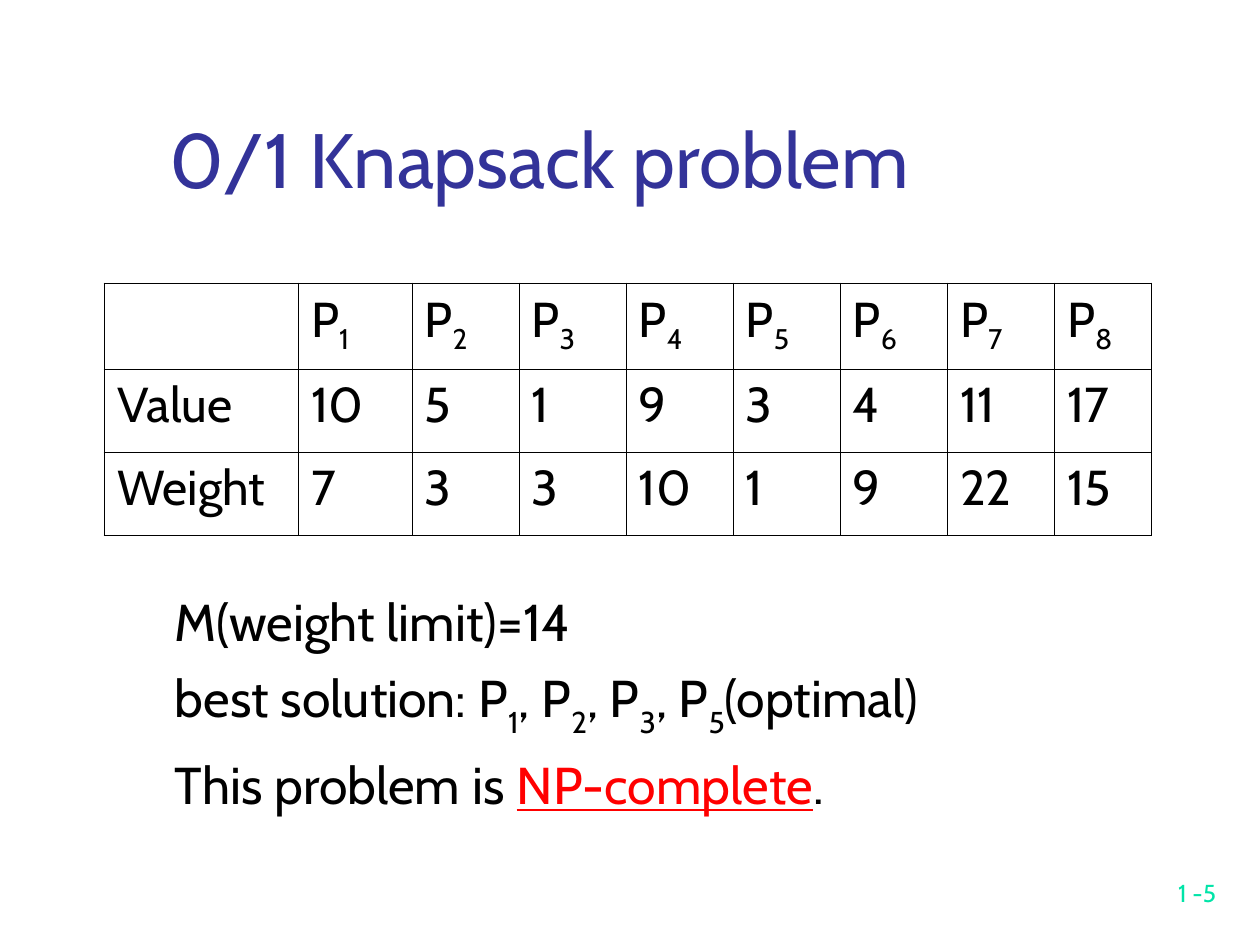
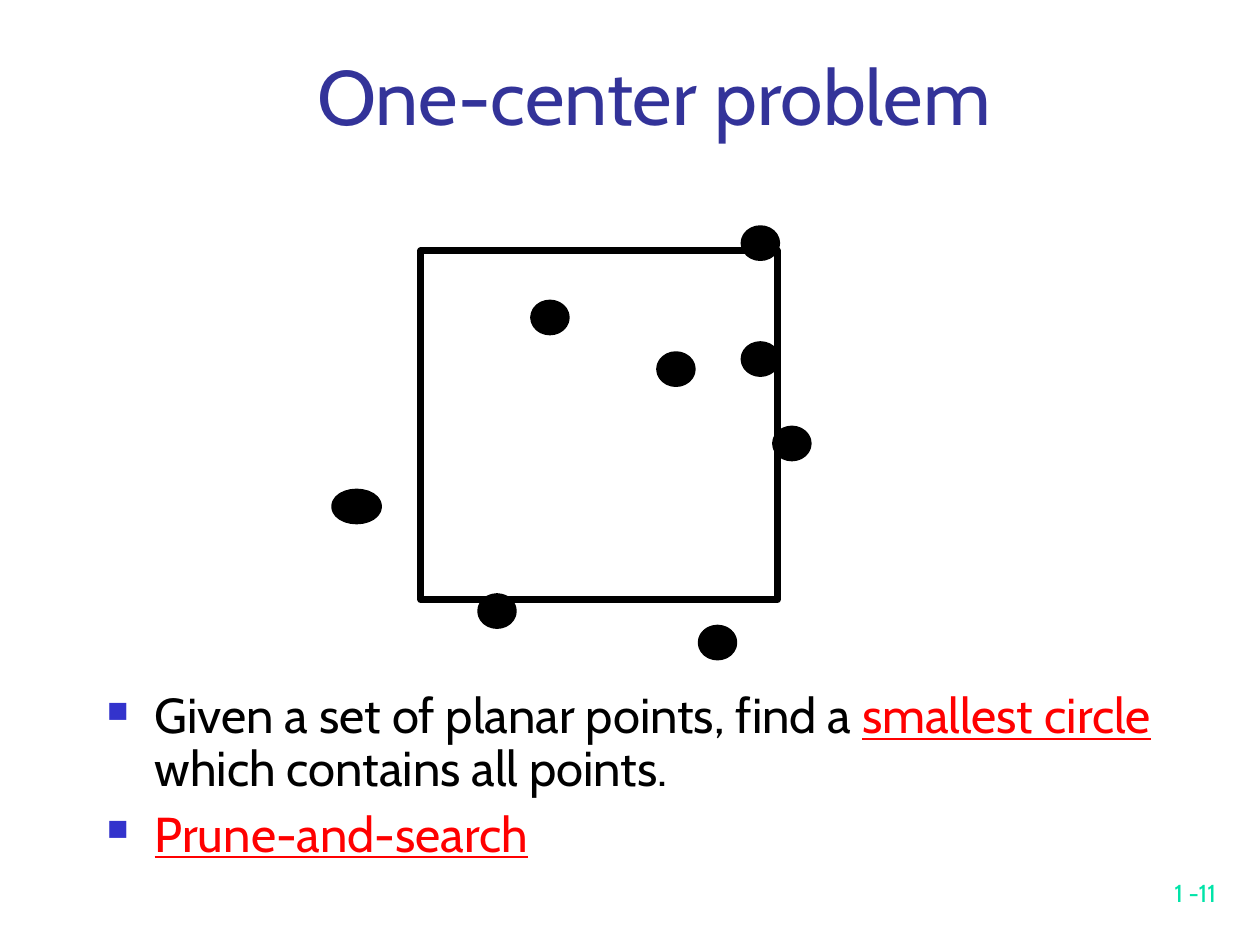
from pptx import Presentation
from pptx import util as u
from pptx.dml.color import RGBColor
from pptx.enum import shapes, text
from pptx.oxml.ns import qn
from lxml import etree

PX = 9144  # one hundredth of an inch
FONT = "Cabin"
BLACK, NAVY, BLUE, RED, MINT = "000000", "333399", "3333CC", "FF0000", "00E4A8"
LEFT, MID, RIGHT = text.PP_ALIGN.LEFT, text.PP_ALIGN.CENTER, text.PP_ALIGN.RIGHT
TOP, LOW = text.MSO_ANCHOR.TOP, text.MSO_ANCHOR.BOTTOM


def px(*sizes):
    return [u.Emu(s * PX) for s in sizes]


def rgb(hue):
    return RGBColor.from_string(hue)


def sub(node, tag, **attrs):
    return etree.SubElement(node, qn(tag), attrs)


def bullet(para):
    """Hang a small blue square before the paragraph."""
    props = para._p.get_or_add_pPr()
    props.set("marL", str(38 * PX))
    props.set("indent", str(-38 * PX))
    sub(sub(props, "a:buClr"), "a:srgbClr", val=BLUE)
    sub(props, "a:buSzPct", val="60000")
    sub(props, "a:buChar", char="■")


def write(para, line, size, hue=BLACK, drop=-30):
    """Split line at |; a part led by _ is a subscript, by * a key term."""
    font = para.font
    font.name, font.size, font.color.rgb = FONT, u.Pt(size), rgb(hue)
    for part in line.split("|"):
        run = para.add_run()
        run.text = part.lstrip("_*")
        if part.startswith("_"):
            run._r.get_or_add_rPr().set("baseline", str(drop * 1000))
        elif part.startswith("*"):
            run.font.color.rgb = rgb(RED)
            run.font.underline = True


def box(slide, area, lines, size, hue=BLACK, align=LEFT, anchor=TOP,
        gap=0, pitch=None, marks=False):
    frame = slide.shapes.add_textbox(*px(*area)).text_frame
    frame.word_wrap = True
    frame.vertical_anchor = anchor
    for i, line in enumerate(lines):
        para = frame.add_paragraph() if i else frame.paragraphs[0]
        para.alignment = align
        if pitch:
            para.line_spacing = pitch
        if i:
            para.space_before = u.Pt(gap)
        if marks:
            bullet(para)
        write(para, line, size, hue)


def page(deck, title, area, num, align=LEFT):
    """Add a slide with its title and page number."""
    slide = deck.slides.add_slide(deck.slide_layouts[6])
    box(slide, (767, 675, 208, 50), [f"1 -{num}"], 14, MINT, RIGHT, LOW)
    box(slide, area, [title], 44, NAVY, align, LOW)
    return slide


def edge(cell, side, width):
    line = sub(cell._tc.get_or_add_tcPr(), f"a:ln{side}", w=str(u.Pt(width)))
    sub(sub(line, "a:solidFill"), "a:srgbClr", val=BLACK)


def grid(slide, area, wide, high, rows):
    """Draw a table with thin inner rules and a thicker outer frame."""
    table = slide.shapes.add_table(len(high), len(wide), *px(*area)).table
    table.first_row = table.horz_banding = False
    for col, size in zip(table.columns, px(*wide)):
        col.width = size
    for row, size in zip(table.rows, px(*high)):
        row.height = size
    for r, row in enumerate(rows):
        for c, line in enumerate(row):
            cell = table.cell(r, c)
            outer = {"L": c == 0, "R": c == len(wide) - 1,
                     "T": r == 0, "B": r == len(high) - 1}
            for side, thick in outer.items():
                edge(cell, side, 1.08 if thick else 0.45)
            cell.fill.background()
            write(cell.text_frame.paragraphs[0], line, 28, drop=-25)


def shape(slide, kind, area, width, fill=None):
    item = slide.shapes.add_shape(kind, *px(*area))
    item.shadow.inherit = False
    if fill:
        item.fill.solid()
        item.fill.fore_color.rgb = rgb(fill)
    else:
        item.fill.background()
    item.line.color.rgb = rgb(BLACK)
    item.line.width = u.Pt(width)
    sub(item.line._get_or_add_ln(), "a:round")


def knapsack(deck):
    slide = page(deck, "0/1 Knapsack problem", (125, 42, 741, 125), 5)
    box(slide, (129, 463, 850, 208),
        ["M(weight limit)=14",
         "best solution: P|_1|, P|_2|, P|_3|, P|_5|(optimal)",
         "This problem is |*NP-complete|."], 29.6, gap=8)
    grid(slide, (83, 225, 833, 200), [154, 90] + [85] * 6 + [77], [68, 66, 66],
         [[""] + [f"P|_{n}" for n in range(1, 9)],
          "Value 10 5 1 9 3 4 11 17".split(),
          "Weight 7 3 3 10 1 9 22 15".split()])


def center(deck):
    slide = page(deck, "One-center problem ", (100, 25, 852, 92), 11, MID)
    kinds = shapes.MSO_SHAPE
    shape(slide, kinds.RECTANGLE, (334, 199, 283, 277), 4)
    shape(slide, kinds.OVAL, (267, 392, 32, 20), 6, BLACK)
    dots = [(425, 242), (592, 275), (617, 342), (592, 183),
            (525, 283), (383, 475), (558, 500)]
    for left, top in dots:
        shape(slide, kinds.OVAL, (left, top, 23, 20), 6, BLACK)
    box(slide, (75, 544, 850, 206),
        ["Given a set of planar points, find a |*smallest circle"
         "| which contains all points.", "*Prune-and-search"],
        28, gap=7, pitch=0.9, marks=True)


def main():
    deck = Presentation()
    deck.slide_width, deck.slide_height = px(1000, 750)
    knapsack(deck)
    center(deck)
    deck.save("out.pptx")


if __name__ == "__main__":
    main()
